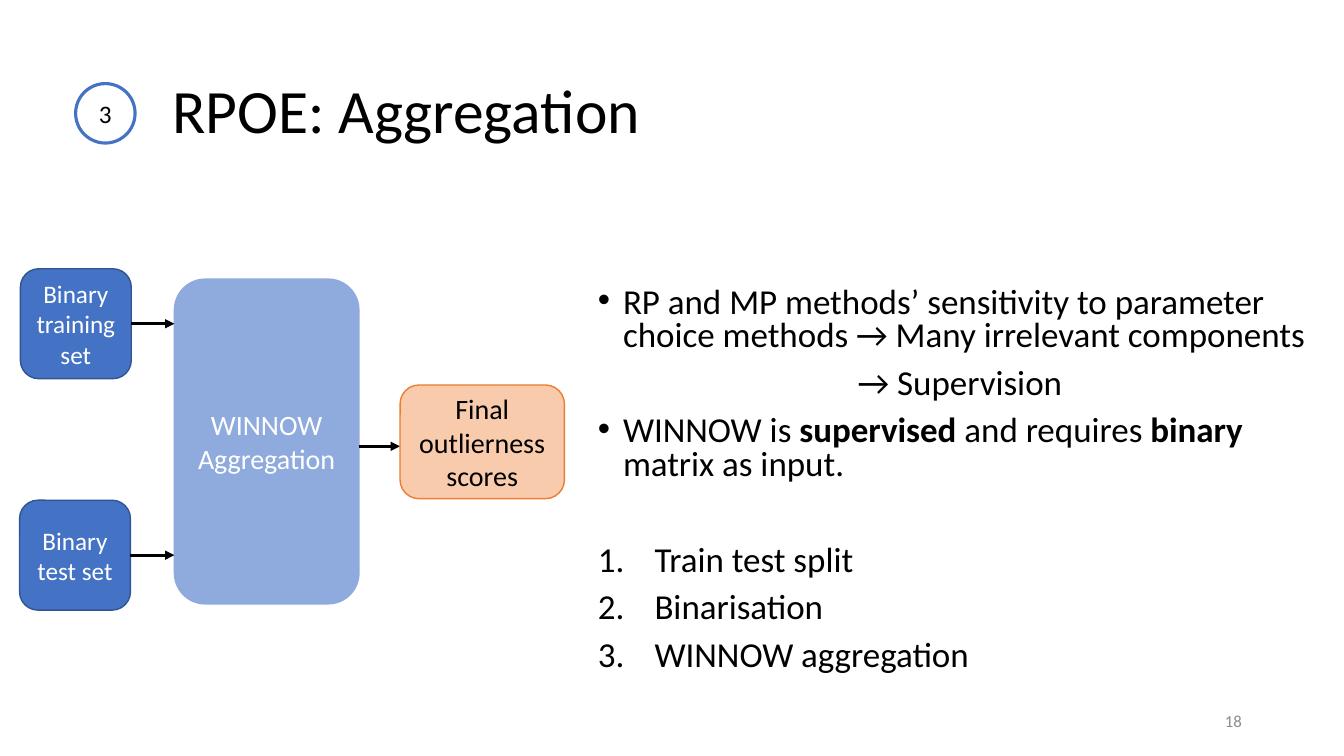
from dataclasses import dataclass
from typing import Optional

from pptx import Presentation
from pptx import util as u
from pptx.dml.color import RGBColor
from pptx.enum import shapes, text
from pptx.oxml.ns import qn
from lxml import etree

Pt = u.Pt


@dataclass(frozen=True)
class Theme:
    font: str = "Calibri"
    black: str = "000000"
    white: str = "FFFFFF"
    grey: str = "8C8C8C"
    blue: str = "4472C4"
    dark_blue: str = "325491"
    light_blue: str = "8FAADC"
    peach: str = "F8CBAD"
    orange: str = "ED7D31"
    title: float = 44
    body: float = 25
    stage: float = 20
    small: float = 18
    number: float = 12
    thin: float = 1
    thick: float = 2.25


THEME = Theme()


@dataclass(frozen=True)
class Node:
    lines: tuple[str, ...]
    left: float
    top: float
    width: float
    height: float
    fill: str
    line: str
    ink: str = THEME.white
    size: float = THEME.small
    weight: float = THEME.thin
    preset: shapes.MSO_SHAPE = shapes.MSO_SHAPE.ROUNDED_RECTANGLE

    @property
    def middle(self) -> float:
        return self.top + self.height / 2


@dataclass(frozen=True)
class Item:
    runs: tuple[tuple[str, bool], ...]
    bullet: Optional[tuple[str, str, str]] = None  # tag, attribute, value
    margin: float = 18
    indent: float = -18
    before: float = 10
    align: text.PP_ALIGN = text.PP_ALIGN.LEFT


def apply(target, settings: dict) -> None:
    for name, value in settings.items():
        setattr(target, name, value)


def add_run(paragraph, words: str, size: float, ink: str, bold: bool = False) -> None:
    run = paragraph.add_run()
    run.text = words
    apply(run.font, {"name": THEME.font, "size": Pt(size), "bold": bold})
    run.font.color.rgb = RGBColor.from_string(ink)


def place(shape, left: float, top: float, width: float, height: float) -> None:
    apply(shape, {"left": Pt(left), "top": Pt(top), "width": Pt(width), "height": Pt(height)})


def add_node(slide, node: Node):
    shape = slide.shapes.add_shape(
        node.preset, Pt(node.left), Pt(node.top), Pt(node.width), Pt(node.height))
    shape.shadow.inherit = False
    shape.fill.solid()
    shape.fill.fore_color.rgb = RGBColor.from_string(node.fill)
    shape.line.color.rgb = RGBColor.from_string(node.line)
    shape.line.width = Pt(node.weight)
    frame = shape.text_frame
    apply(frame, {"word_wrap": True, "vertical_anchor": text.MSO_ANCHOR.MIDDLE})
    for index, line in enumerate(node.lines):
        paragraph = frame.add_paragraph() if index else frame.paragraphs[0]
        paragraph.alignment = text.PP_ALIGN.CENTER
        add_run(paragraph, line, node.size, node.ink)
    return shape


def add_arrow(slide, start: float, end: float, y: float, source=None) -> None:
    arrow = slide.shapes.add_connector(
        shapes.MSO_CONNECTOR.STRAIGHT, Pt(start), Pt(y), Pt(end), Pt(y))
    if source is not None:
        arrow.begin_connect(source, 3)
    arrow.line.color.rgb = RGBColor.from_string(THEME.black)
    arrow.line.width = Pt(THEME.thick)
    etree.SubElement(arrow.line._get_or_add_ln(), qn("a:tailEnd"), type="triangle")
    etree.SubElement(arrow._element.spPr, qn("a:effectLst"))


def add_item(paragraph, item: Item) -> None:
    apply(paragraph, {"alignment": item.align, "line_spacing": 0.8,
                      "space_before": Pt(item.before), "space_after": Pt(0)})
    properties = paragraph._p.get_or_add_pPr()
    properties.set("marL", str(Pt(item.margin)))
    properties.set("indent", str(Pt(item.indent)))
    if item.bullet:
        tag, attribute, value = item.bullet
        etree.SubElement(properties, qn(tag)).set(attribute, value)
    else:
        etree.SubElement(properties, qn("a:buNone"))
    for words, bold in item.runs:
        add_run(paragraph, words, THEME.body, THEME.black, bold)


# Content
DOT = ("a:buChar", "char", "•")
NUMBER = ("a:buAutoNum", "type", "arabicPeriod")
STEPS = ("Train test split", "Binarisation", "WINNOW aggregation")
ITEMS = [
    Item((("RP and MP methods’ sensitivity to parameter choice methods"
           " → Many irrelevant components", False),), DOT, before=0),
    Item((("→ Supervision", False),), margin=6, indent=0, align=text.PP_ALIGN.CENTER),
    Item((("WINNOW is ", False), ("supervised", True), (" and requires ", False),
          ("binary", True), (" matrix as input.", False)), DOT),
] + [
    Item(((step, False),), NUMBER, margin=40.5, indent=-40.5, before=10 if index else 44.4)
    for index, step in enumerate(STEPS)
]

INPUTS = [
    Node((words,), left, top, 79.2, 78.5, THEME.blue, THEME.dark_blue)
    for words, left, top in (("Binary training set", 14.6, 192), ("Binary test set", 14, 357.3))
]
WINNOW = Node(("WINNOW", "Aggregation"), 124.6, 199.4, 131.8, 232,
              THEME.light_blue, THEME.light_blue, size=THEME.stage)
SCORES = Node(("Final outlierness scores",), 285.8, 275, 117.4, 81.2,
              THEME.peach, THEME.orange, THEME.black, THEME.stage)
SECTION = Node(("3",), 54, 59.7, 42.5, 42.5, THEME.white, THEME.blue, THEME.black,
               weight=THEME.thick, preset=shapes.MSO_SHAPE.OVAL)


def main() -> None:
    deck = Presentation()
    apply(deck, {"slide_width": Pt(960), "slide_height": Pt(540)})
    slide = deck.slides.add_slide(deck.slide_layouts[1])

    # Title, set clear of the section number
    title = slide.shapes.title
    place(title, 66, 28.8, 828, 104.4)
    apply(title.text_frame, {"margin_left": Pt(57), "word_wrap": True,
                             "auto_size": text.MSO_AUTO_SIZE.NONE,
                             "vertical_anchor": text.MSO_ANCHOR.MIDDLE})
    heading = title.text_frame.paragraphs[0]
    apply(heading, {"alignment": text.PP_ALIGN.LEFT, "line_spacing": 0.9})
    add_run(heading, "RPOE: Aggregation", THEME.title, THEME.black)

    # Bullets and numbered steps
    body = slide.placeholders[1]
    place(body, 419.8, 201.6, 525.6, 297)
    apply(body.text_frame, {"word_wrap": True, "auto_size": text.MSO_AUTO_SIZE.NONE,
                            "vertical_anchor": text.MSO_ANCHOR.TOP})
    for index, item in enumerate(ITEMS):
        add_item(body.text_frame.add_paragraph() if index else body.text_frame.paragraphs[0], item)

    # Flow diagram
    winnow_right = WINNOW.left + WINNOW.width
    add_node(slide, WINNOW)
    for node in INPUTS:
        add_arrow(slide, node.left + node.width, WINNOW.left, node.middle, add_node(slide, node))
    add_arrow(slide, winnow_right, SCORES.left, 318.8)
    add_node(slide, SCORES)

    # Section number
    add_node(slide, SECTION)

    # Page number
    page = slide.shapes.add_textbox(Pt(678.2), Pt(500.4), Pt(216), Pt(28.8)).text_frame
    apply(page, {"word_wrap": True, "vertical_anchor": text.MSO_ANCHOR.MIDDLE})
    page.paragraphs[0].alignment = text.PP_ALIGN.RIGHT
    add_run(page.paragraphs[0], "18", THEME.number, THEME.grey)

    deck.save("out.pptx")


if __name__ == "__main__":
    main()
